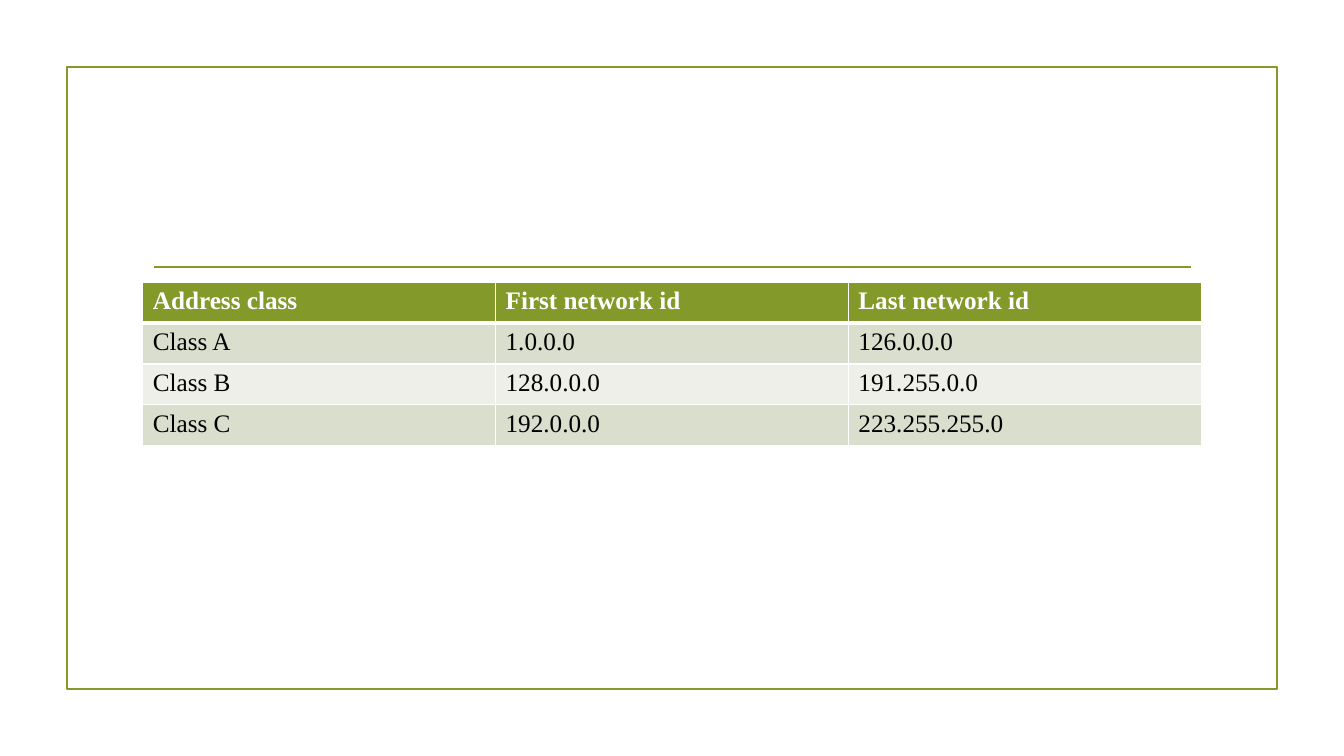
from lxml import etree
from pptx import Presentation, util as u
from pptx.dml.color import RGBColor
from pptx.enum import shapes
from pptx.oxml.ns import qn

COLS, ROWS = 160, 90  # square grid units, twelve to the inch
GREEN, WHITE, BLACK = "83992A", "FFFFFF", "000000"
BANDS = ("D9DECD", "EDEFE8")
ADDRESS_CLASSES = [
    ("Address class", "First network id", "Last network id"),
    ("Class A", "1.0.0.0", "126.0.0.0"),
    ("Class B", "128.0.0.0", "191.255.0.0"),
    ("Class C", "192.0.0.0", "223.255.255.0"),
]


def rgb(value):
    return RGBColor.from_string(value)


def grid(*units):
    """Turn grid units into slide lengths."""
    return [u.Inches(n / 12) for n in units]


class SlideBuilder:
    font = {"name": "Times New Roman", "size": u.Pt(18)}
    line_width = u.Pt(1.25)

    def __init__(self, prs):
        self.slide = prs.slides.add_slide(prs.slide_layouts[6])

    def style_line(self, line):
        line.color.rgb = rgb(GREEN)
        line.width = self.line_width

    def frame(self, *box):
        sp = self.slide.shapes.add_shape(shapes.MSO_SHAPE.RECTANGLE, *grid(*box))
        sp.shadow.inherit = False
        sp.fill.background()
        self.style_line(sp.line)

    def rule(self, x1, x2, y):
        cx = self.slide.shapes.add_connector(
            shapes.MSO_CONNECTOR.STRAIGHT, *grid(x1, y, x2, y))
        self.style_line(cx.line)
        etree.SubElement(cx._element.spPr, qn("a:effectLst"))

    def borders(self, cell, **widths):
        """Draw white cell borders; widths in points by side L, R, T, B."""
        tcPr = cell._tc.get_or_add_tcPr()
        for side in "LRTB":
            ln = etree.SubElement(tcPr, qn(f"a:ln{side}"),
                                  w=str(u.Pt(widths.get(side, 1))))
            fill = etree.SubElement(ln, qn("a:solidFill"))
            etree.SubElement(fill, qn("a:srgbClr"), val=WHITE)

    def cell(self, cell, content, fill, color, bold):
        cell.fill.solid()
        cell.fill.fore_color.rgb = rgb(fill)
        r = cell.text_frame.paragraphs[0].add_run()
        r.text = content
        for key, value in {**self.font, "bold": bold}.items():
            setattr(r.font, key, value)
        r.font.color.rgb = rgb(color)

    def table(self, rows, *box):
        table = self.slide.shapes.add_table(
            len(rows), len(rows[0]), *grid(*box)).table
        for i, row in enumerate(rows):
            header = i == 0
            fill = GREEN if header else BANDS[(i - 1) % 2]
            widths = {0: {"B": 3}, 1: {"T": 3}}.get(i, {})
            for j, content in enumerate(row):
                cell = table.cell(i, j)
                self.borders(cell, **widths)
                self.cell(cell, content, fill, WHITE if header else BLACK, header)


def main():
    prs = Presentation()
    prs.slide_width, prs.slide_height = grid(COLS, ROWS)
    s = SlideBuilder(prs)
    s.frame(8, 8, 144, 74)
    s.rule(18.36, 141.84, 31.8)
    s.table(ADDRESS_CLASSES, 17, 33.6, 126, 19.47)
    prs.save("out.pptx")


if __name__ == "__main__":
    main()
